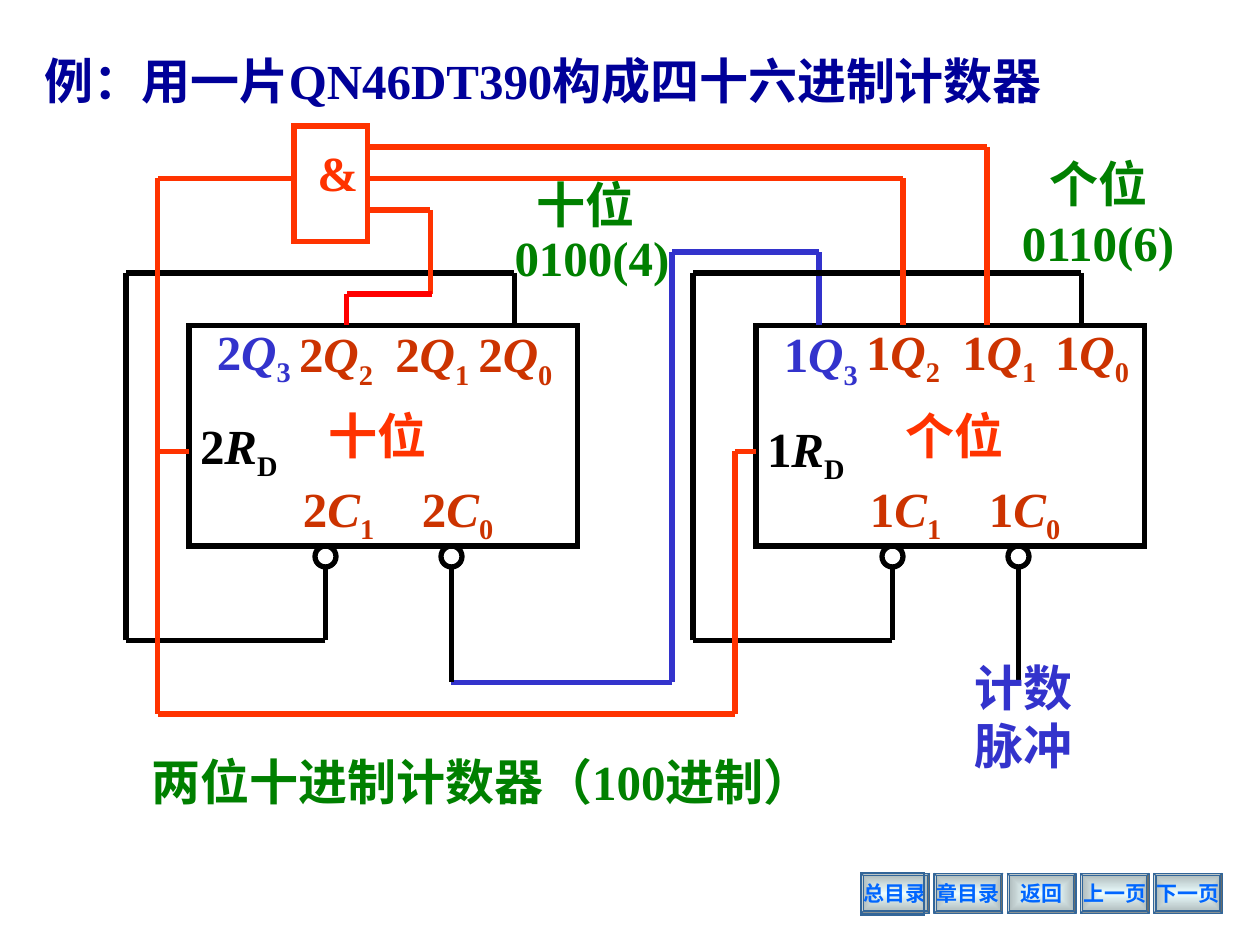
from itertools import pairwise
from lxml import etree
from pptx import Presentation
from pptx.dml.color import RGBColor
from pptx.enum.shapes import MSO_CONNECTOR, MSO_SHAPE
from pptx.enum.text import MSO_ANCHOR, MSO_AUTO_SIZE, PP_ALIGN
from pptx.oxml.ns import qn
from pptx.util import Pt

hue = RGBColor.from_string
BLACK, RED, BLUE, GREEN, RUST = "000000", "FF3300", "3333CC", "008000", "CC3300"

deck = Presentation()
deck.slide_width, deck.slide_height = Pt(720), Pt(540)
slide = deck.slides.add_slide(deck.slide_layouts[5])
shapes = slide.shapes


def write(shape, text, tint, size=28, align=PP_ALIGN.CENTER, wrap=False, mid=False):
    """Fill a shape with lines; bars split a line into stem, italic and subscript."""
    frame = shape.text_frame
    frame.word_wrap = wrap
    frame.auto_size = MSO_AUTO_SIZE.NONE
    frame.vertical_anchor = MSO_ANCHOR.MIDDLE if mid else MSO_ANCHOR.TOP
    if not wrap:
        frame.margin_left = frame.margin_right = Pt(0)
    for i, line in enumerate(text.split("\n")):
        para = frame.add_paragraph() if i else frame.paragraphs[0]
        para.alignment = align
        for j, part in enumerate(line.split("|")):
            run = para.add_run()
            run.text = part
            font = run.font
            font.name, font.size, font.bold = "Times New Roman", Pt(size), True
            font.italic = j == 1
            font.color.rgb = hue(tint)
            if j == 2:
                font._element.set("baseline", "-25000")
    return frame


def wire(tint, *spots):
    """Join the spots with straight segments."""
    for (x1, y1), (x2, y2) in pairwise(spots):
        seg = shapes.add_connector(
            MSO_CONNECTOR.STRAIGHT, Pt(x1), Pt(y1), Pt(x2), Pt(y2))
        seg.line.color.rgb = hue(tint)
        seg.line.width = Pt(3)
        etree.SubElement(seg._element.spPr, qn("a:effectLst"))


# Title
title = shapes.title
title.left, title.top, title.width, title.height = Pt(18), Pt(25), Pt(648), Pt(41)
write(title, "例：用一片QN46DT390构成四十六进制计数器", "000099",
      align=PP_ALIGN.LEFT, wrap=True)

# Navigation buttons
for i, name in enumerate(["总目录", "章目录", "返回", "上一页", "下一页"]):
    key = shapes.add_shape(
        MSO_SHAPE.BEVEL, Pt(492 + 41.8 * i), Pt(499), Pt(39.3), Pt(23))
    key.shadow.inherit = False
    key.adjustments[0] = 0.06
    key.line.color.rgb = hue("336699")
    key.line.width = Pt(0.75)
    key.fill.gradient()
    for stop, tint, spot in zip(key.fill.gradient_stops, ["ECFDFE", "AAB6B7"], [0, 1]):
        stop.color.rgb = hue(tint)
        stop.position = spot
    grad = key._element.spPr.find(qn("a:gradFill"))
    grad.remove(grad.find(qn("a:lin")))
    shade = etree.SubElement(grad, qn("a:path"), path="rect")
    etree.SubElement(shade, qn("a:fillToRect"), l="50000", t="50000",
                     r="50000", b="50000")
    write(key, name, "0066FF", size=12, mid=True)

# Outlines: button frame, gate, chips, clock bubbles
frames = [(MSO_SHAPE.RECTANGLE, 492, 498.5, 36, 24.5, "336699", 0.75),
          (MSO_SHAPE.RECTANGLE, 168, 72, 42, 66, RED, 3)]
for left in (432, 108):
    frames.append((MSO_SHAPE.RECTANGLE, left, 186, 222, 126, BLACK, 3))
    for gap in (72, 144):
        frames.append((MSO_SHAPE.OVAL, left + gap, 312, 12, 12, BLACK, 3))
for kind, x, y, w, h, tint, thick in frames:
    edge = shapes.add_shape(kind, Pt(x), Pt(y), Pt(w), Pt(h))
    edge.shadow.inherit = False
    edge.fill.background()
    edge.line.color.rgb = hue(tint)
    edge.line.width = Pt(thick)
    etree.SubElement(edge._element.spPr.find(qn("a:ln")), qn("a:miter"), lim="800000")

# Carry from ones to tens
wire(BLUE, (468, 186), (468, 144), (384, 144), (384, 390), (258, 390))

# Feedback from Q0 to C1, and clock leads
for left in (432, 108):
    wire(BLACK, (left + 78, 324), (left + 78, 366), (left - 36, 366),
         (left - 36, 156), (left + 186, 156), (left + 186, 186))
    wire(BLACK, (left + 150, 324), (left + 150, 390))

# Labels: left, top, width, height, text, colour, middle anchor
labels = [
    (280, 100, 109.5, 68, "十位\n0100(4)", GREEN, True),
    (576, 84, 103, 75, "个位\n0110(6)", GREEN, True),
    (546, 372, 78, 75, "计数脉冲", BLUE, False),
    (180.5, 228, 70, 41, "十位", RED, True),
    (510.5, 228, 70, 41, "个位", RED, True),
    (66, 426, 419, 41, "两位十进制计数器（100进制）", GREEN, False),
    (174, 78, 38, 41, "&", RED, False),
]
# Pins of each chip: digit, left edge, top of Q3, of the other Qs, of R, left of Q0
for num, left, high, top, reset, last in [(1, 432, 181.5, 180, 235.5, 164),
                                          (2, 108, 180, 181.5, 234, 158.5)]:
    for pin, x, y, w, tint in [("Q|3", 9, high, 56, BLUE), ("Q|2", 56, top, 56, RUST),
                               ("Q|1", 111, top, 56, RUST), ("Q|0", last, top, 56, RUST),
                               ("R|D", -0.5, reset, 58, BLACK),
                               ("C|1", 58, 270, 55, RUST), ("C|0", 120, 270, 67, RUST)]:
        labels.append((left + x, y, w, 45, f"{num}|{pin}", tint, False))
for x, y, w, h, text, tint, mid in labels:
    box = shapes.add_textbox(Pt(x), Pt(y), Pt(w), Pt(h))
    body = write(box, text, tint, wrap=text == "计数脉冲", mid=mid)
    if text.startswith("十位\n"):
        for para in body.paragraphs:
            para.line_spacing = 0.9
        body.paragraphs[1]._p.get_or_add_pPr().set("marL", str(Pt(7)))

# Reset wires from the gate to both chips
wire(RED, (168, 102), (90, 102), (90, 408), (420, 408), (420, 258), (432, 258))
wire(RED, (108, 258), (90, 258))

# Gate inputs
wire(RED, (210, 102), (516, 102), (516, 186))
wire(RED, (210, 84), (564, 84), (564, 186))
wire(RED, (210, 120), (246, 120), (246, 168))
wire("FF0000", (247, 168), (198, 168), (198, 186))

deck.save("out.pptx")
